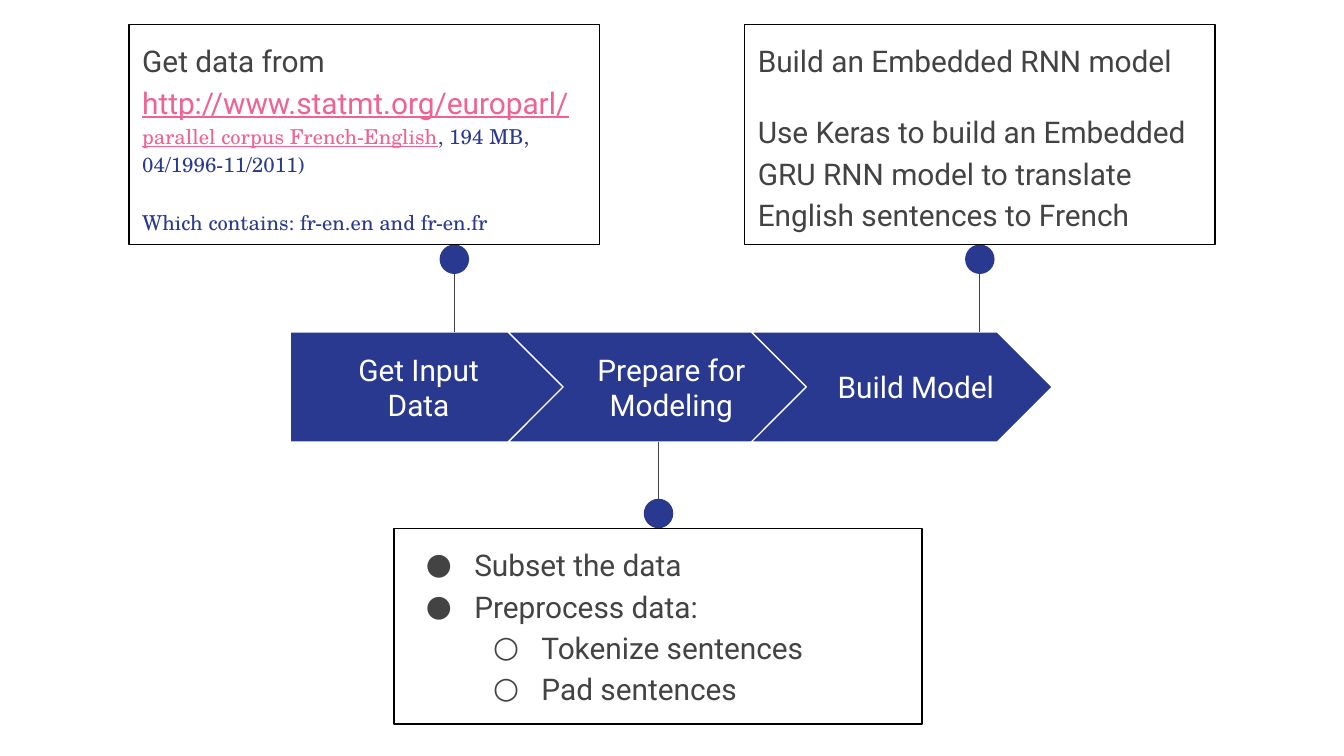
from lxml.etree import SubElement
from pptx import Presentation
from pptx.dml.color import RGBColor
from pptx.enum.shapes import MSO_CONNECTOR, MSO_SHAPE
from pptx.enum.text import MSO_ANCHOR, PP_ALIGN
from pptx.oxml.ns import qn
from pptx.util import Pt

COLORS = {"navy": "2A3990", "grey": "434343", "pink": "F06292",
          "white": "FFFFFF", "black": "000000"}
SERIF = {"font": "TeX Gyre Schola", "size": 11, "color": "navy"}
LINK = {"color": "pink", "underline": True}
SPACED = {"before": 16, "after": 16}

# A paragraph is (runs, format); a run is (text, format).
STAGES = [
    {"label": "Get Input Data", "label_left": 167, "marker": 243.4,
     "note_box": (69.1, 13, 252, 118),
     "note": [
         ([("Get data from ", {}),
           ("http://www.statmt.org/europarl/", LINK),
           (" ", {}),
           ("parallel corpus French-English", {**SERIF, **LINK}),
           (", 194 MB, 04/1996-11/2011)", SERIF)], {}),
         ([("Which contains: fr-en.en and fr-en.fr", SERIF)], SPACED)]},
    {"label": "Prepare for Modeling", "label_left": 302.4, "marker": 352.8,
     "note_box": (211, 283, 283, 105),
     "note": [
         ([("Subset the data", {})], {"bullet": "●"}),
         ([("Preprocess data:", {})], {"bullet": "●"}),
         ([("Tokenize sentences", {})], {"bullet": "○", "level": 1}),
         ([("Pad sentences", {})], {"bullet": "○", "level": 1})]},
    {"label": "Build Model", "label_left": 433.4, "marker": 524.9,
     "note_box": (398.9, 13, 252, 118),
     "note": [
         ([("Build an Embedded RNN model", {})], {}),
         ([("Use Keras to build an Embedded GRU RNN model to translate "
            "English sentences to French", {})], SPACED)]},
]

ARROW_TOP, ARROW_HEIGHT = 177.8, 59
FIRST_LEFT, FIRST_WIDTH = 155.5, 147.6
CHEVRON_LEFT, CHEVRON_WIDTH, CHEVRON_STEP = 272.2, 161.3, 130.3
LABEL_WIDTH, LABEL_HEIGHT = 114.5, 36.7
DOT = 15.8
INDENT, HANGING = 36, -25.9

prs = Presentation()
prs.slide_width, prs.slide_height = Pt(720), Pt(405)
slide = prs.slides.add_slide(prs.slide_layouts[6])


def rgb(name):
    return RGBColor.from_string(COLORS[name])


def add_box(kind, box, fill=None, line=None):
    shape = slide.shapes.add_shape(kind, *map(Pt, box))
    shape.shadow.inherit = False
    if fill:
        shape.fill.solid()
        shape.fill.fore_color.rgb = rgb(fill)
    else:
        shape.fill.background()
    if line:
        shape.line.color.rgb = rgb(line)
        shape.line.width = Pt(0.75)
    else:
        shape.line.fill.background()
    return shape


def add_bullet(paragraph, char, level):
    paragraph.level = level
    props = paragraph._p.get_or_add_pPr()
    props.set("marL", str(Pt(INDENT * (level + 1))))
    props.set("indent", str(Pt(HANGING)))
    color = SubElement(props, qn("a:buClr"))
    SubElement(color, qn("a:srgbClr"), val=COLORS["grey"])
    SubElement(props, qn("a:buFont"), typeface="Roboto")
    SubElement(props, qn("a:buChar"), char=char)


def add_run(paragraph, text, font="Roboto", size=16, color="grey", underline=None):
    run = paragraph.add_run()
    run.text = text
    run.font.name, run.font.size = font, Pt(size)
    run.font.color.rgb = rgb(color)
    run.font.underline = underline


def write(shape, paragraphs, align=PP_ALIGN.LEFT, anchor=MSO_ANCHOR.TOP, spacing=1.15):
    frame = shape.text_frame
    frame.word_wrap = True
    frame.vertical_anchor = anchor
    frame.margin_left = frame.margin_right = Pt(7.2)
    frame.margin_top = frame.margin_bottom = Pt(7.2)
    for index, (runs, form) in enumerate(paragraphs):
        paragraph = frame.add_paragraph() if index else frame.paragraphs[0]
        paragraph.alignment = align
        paragraph.line_spacing = spacing
        paragraph.space_before = Pt(form.get("before", 0))
        paragraph.space_after = Pt(form.get("after", 0))
        if "bullet" in form:
            add_bullet(paragraph, form["bullet"], form.get("level", 0))
        for text, style in runs:
            add_run(paragraph, text, **style)


def add_marker(center, note_top, note_height):
    """Join the arrow to its note with a stem and a dot at the note's edge."""
    above = note_top < ARROW_TOP
    dot_top = note_top + note_height if above else note_top - DOT
    arrow_edge = ARROW_TOP if above else ARROW_TOP + ARROW_HEIGHT
    stem = slide.shapes.add_connector(
        MSO_CONNECTOR.STRAIGHT, Pt(center), Pt(dot_top + DOT / 2),
        Pt(center), Pt(arrow_edge))
    stem.line.color.rgb = rgb("grey")
    stem.line.width = Pt(0.75)
    SubElement(stem._element.spPr, qn("a:effectLst"))
    add_box(MSO_SHAPE.OVAL, (center - DOT / 2, dot_top, DOT, DOT), fill="navy")


for index, stage in enumerate(STAGES):
    if index == 0:
        kind, left, width = MSO_SHAPE.PENTAGON, FIRST_LEFT, FIRST_WIDTH
    else:
        kind, width = MSO_SHAPE.CHEVRON, CHEVRON_WIDTH
        left = CHEVRON_LEFT + (index - 1) * CHEVRON_STEP
    add_box(kind, (left, ARROW_TOP, width, ARROW_HEIGHT), fill="navy", line="white")

    _, note_top, _, note_height = stage["note_box"]
    add_marker(stage["marker"], note_top, note_height)
    note = add_box(MSO_SHAPE.RECTANGLE, stage["note_box"], line="black")
    write(note, stage["note"])

    label_top = ARROW_TOP + (ARROW_HEIGHT - LABEL_HEIGHT) / 2
    label = slide.shapes.add_textbox(Pt(stage["label_left"]), Pt(label_top),
                                     Pt(LABEL_WIDTH), Pt(LABEL_HEIGHT))
    write(label, [([(stage["label"], {"color": "white"})], {})],
          align=PP_ALIGN.CENTER, anchor=MSO_ANCHOR.MIDDLE, spacing=1.0)

prs.save("out.pptx")
